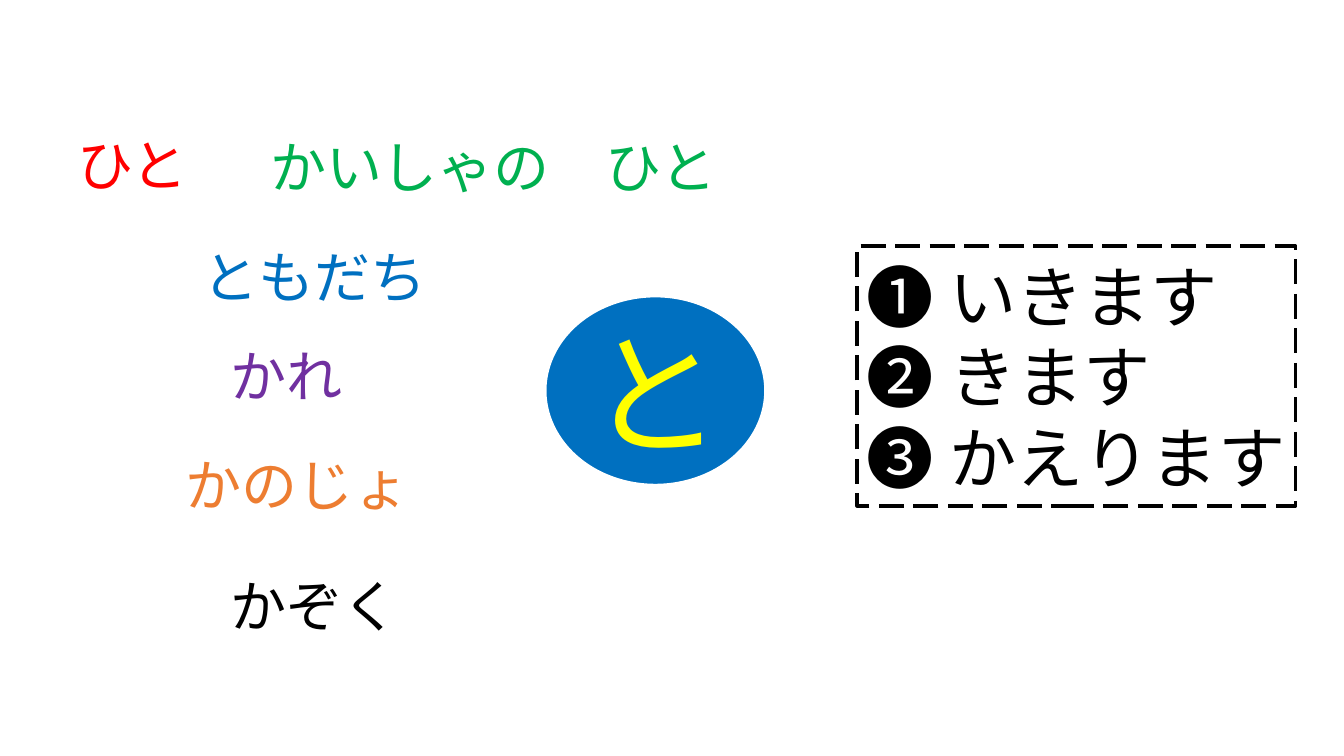
from pptx import Presentation
from pptx.dml.color import RGBColor
from pptx.enum.dml import MSO_LINE
from pptx.enum.shapes import MSO_SHAPE
from pptx.enum.text import MSO_ANCHOR, MSO_AUTO_SIZE, PP_ALIGN
from pptx.util import Emu, Pt

# Content: left, top, width, height in px
COMPANIONS = [
    ("ひと", "red", (67, 125, 248, 77)),
    ("かいしゃの　ひと", "green", (258, 127, 501, 77)),
    ("ともだち", "blue", (191, 236, 317, 77)),
    ("かれ", "purple", (219, 334, 264, 77)),
    ("かのじょ", "orange", (174, 442, 351, 77)),
    ("かぞく", "black", (219, 562, 261, 77)),
]
PARTICLE = ("と", (541, 294, 218, 187))
VERBS = (["❶ いきます", "❷ きます", "❸ かえります"], (850, 244, 435, 258))

THEME = {
    "font": "Calibri",
    "sizes": {"companion": 40, "verb": 48, "particle": 96},
    "colors": {
        "red": "FF0000", "green": "00B050", "blue": "0070C0",
        "purple": "7030A0", "orange": "ED7D31", "black": "000000",
        "white": "FFFFFF", "yellow": "FFFF00",
    },
}
EMU_PER_PX = 9144
SLIDE_SIZE = (1333, 750)


def px(value):
    return Emu(value * EMU_PER_PX)


def color(name):
    return RGBColor.from_string(THEME["colors"][name])


def write(shape, lines, size, color_name, align=PP_ALIGN.LEFT):
    text_frame = shape.text_frame
    text_frame.word_wrap = True
    text_frame.text = "\n".join(lines)
    for paragraph in text_frame.paragraphs:
        paragraph.alignment = align
        for run in paragraph.runs:
            run.font.name = THEME["font"]
            run.font.size = Pt(THEME["sizes"][size])
            run.font.color.rgb = color(color_name)


def add_panel(slide, preset, box, fill, line, line_width):
    shape = slide.shapes.add_shape(preset, *map(px, box))
    shape.shadow.inherit = False
    shape.fill.solid()
    shape.fill.fore_color.rgb = color(fill)
    shape.line.color.rgb = color(line)
    shape.line.width = Pt(line_width)
    shape.text_frame.vertical_anchor = MSO_ANCHOR.MIDDLE
    return shape


def main():
    presentation = Presentation()
    presentation.slide_width, presentation.slide_height = map(px, SLIDE_SIZE)
    slide = presentation.slides.add_slide(presentation.slide_layouts[6])

    # Dashed list of verbs
    lines, box = VERBS
    verb_box = add_panel(slide, MSO_SHAPE.RECTANGLE, box, "white", "black", 2.25)
    verb_box.line.dash_style = MSO_LINE.LONG_DASH
    write(verb_box, lines, "verb", "black")

    # Companions
    for word, color_name, box in COMPANIONS:
        label = slide.shapes.add_textbox(*map(px, box))
        write(label, [word], "companion", color_name)
        label.text_frame.auto_size = MSO_AUTO_SIZE.SHAPE_TO_FIT_TEXT

    # Particle in the oval
    particle, box = PARTICLE
    oval = add_panel(slide, MSO_SHAPE.OVAL, box, "blue", "white", 1.5)
    write(oval, [particle], "particle", "yellow", PP_ALIGN.CENTER)

    presentation.save("out.pptx")


if __name__ == "__main__":
    main()
